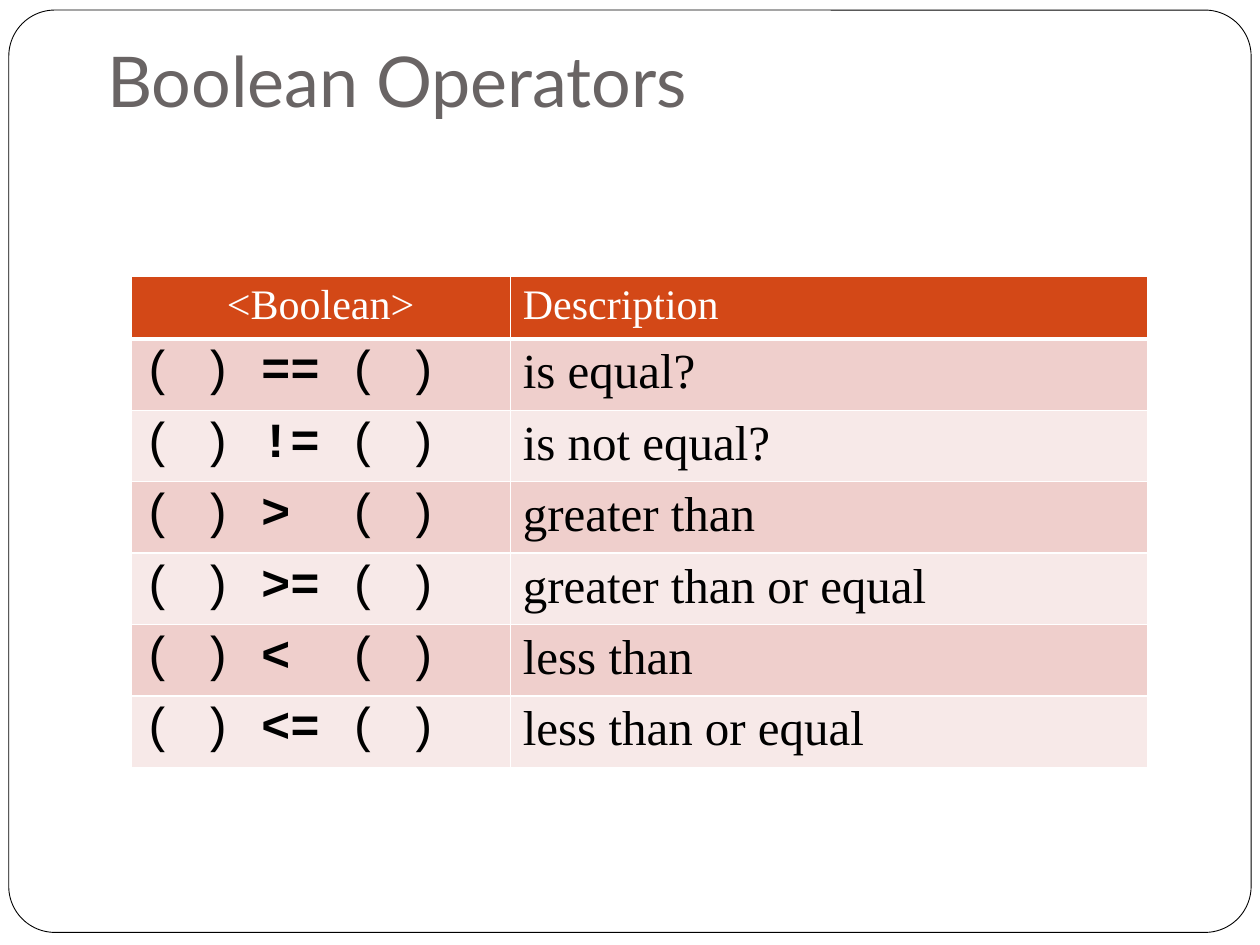
from lxml import etree
from pptx import Presentation
from pptx.dml.color import RGBColor
from pptx.enum.shapes import MSO_SHAPE
from pptx.enum.text import MSO_ANCHOR, PP_ALIGN
from pptx.oxml.ns import qn
from pptx.util import Inches, Pt

ROUNDED = MSO_SHAPE.ROUNDED_RECTANGLE
TOP = MSO_ANCHOR.TOP
LEFT, CENTER = PP_ALIGN.LEFT, PP_ALIGN.CENTER
COLORS = {
    "white": "FFFFFF", "black": "000000", "title": "696464",
    "header": "D34817", "odd": "EFCFCC", "even": "F7E9E8",
}
SERIF, MONO, SANS = "Times New Roman", "Courier New", "Lato"
OPERATORS = [
    ("==", " ", "is equal?"),
    ("!=", " ", "is not equal?"),
    (">", "  ", "greater than"),
    (">=", " ", "greater than or equal"),
    ("< ", " ", "less than"),
    ("<=", " ", "less than or equal"),
]


def rgb(name):
    """Return the named colour."""
    return RGBColor.from_string(COLORS[name])


def add_text(paragraph, text, size=28, font=SERIF, color="black", bold=False, align=LEFT):
    """Append a formatted run to a paragraph."""
    paragraph.alignment = align
    run = paragraph.add_run()
    run.text = text
    run.font.size = Pt(size)
    run.font.name = font
    run.font.bold = bold
    run.font.color.rgb = rgb(color)


def style_cell(cell, fill, bottom=1):
    """Give a cell white borders and a solid fill."""
    properties = cell._tc.get_or_add_tcPr()
    for side, width in (("L", 1), ("R", 1), ("T", 1), ("B", bottom)):
        line = etree.SubElement(properties, qn(f"a:ln{side}"), w=str(Pt(width)))
        solid = etree.SubElement(line, qn("a:solidFill"))
        etree.SubElement(solid, qn("a:srgbClr"), val=COLORS["white"])
    cell.fill.solid()
    cell.fill.fore_color.rgb = rgb(fill)


def add_frame(slide, left, top, width, height):
    """Draw the rounded page frame behind everything else."""
    frame = slide.shapes.add_shape(ROUNDED, left, top, width, height)
    frame.adjustments[0] = 0.05
    frame.shadow.inherit = False
    frame.fill.solid()
    frame.fill.fore_color.rgb = rgb("white")
    frame.line.color.rgb = rgb("black")
    frame.line.width = Pt(0.5)
    slide.shapes._spTree.insert(2, frame._element)


def place_title(slide, text, left, top, width, height):
    """Move, fill and format the title placeholder."""
    title = slide.shapes.title
    title.left, title.top, title.width, title.height = left, top, width, height
    title.text_frame.vertical_anchor = TOP
    add_text(title.text_frame.paragraphs[0], text, size=40, font=SANS, color="title")


def add_operator_table(slide, left, top, width, height):
    """Build the table of comparison operators."""
    shape = slide.shapes.add_table(len(OPERATORS) + 1, 2, left, top, width, height)
    table = shape.table
    first_width, header_height = Inches(3.01), Inches(0.5)
    table.columns[0].width = first_width
    table.columns[1].width = width - first_width
    table.rows[0].height = header_height
    for column, (text, align) in enumerate((("<Boolean>", CENTER), ("Description", LEFT))):
        cell = table.cell(0, column)
        style_cell(cell, "header", bottom=3)
        add_text(cell.text_frame.paragraphs[0], text, size=24, color="white", align=align)
    for row, (operator, gap, description) in enumerate(OPERATORS, start=1):
        table.rows[row].height = (height - header_height) // len(OPERATORS)
        cells = table.cell(row, 0), table.cell(row, 1)
        for cell in cells:
            style_cell(cell, "odd" if row % 2 else "even")
        expression, meaning = (cell.text_frame.paragraphs[0] for cell in cells)
        add_text(expression, "( ) ", font=MONO)
        add_text(expression, operator, font=MONO, bold=True)
        add_text(expression, gap + "( )", font=MONO)
        add_text(meaning, description)


def main():
    """Create the slide and save it."""
    presentation = Presentation()
    presentation.slide_width, presentation.slide_height = Inches(10), Inches(7.5)
    slide = presentation.slides.add_slide(presentation.slide_layouts[5])
    add_frame(slide, Inches(0.07), Inches(0.08), Inches(9.86), Inches(7.32))
    place_title(slide, "Boolean Operators", Inches(0.75), Inches(0.25), Inches(8.5), Inches(1.25))
    add_operator_table(slide, Inches(1.04), Inches(2.19), Inches(8.07), Inches(3.9))
    presentation.save("out.pptx")


if __name__ == "__main__":
    main()
